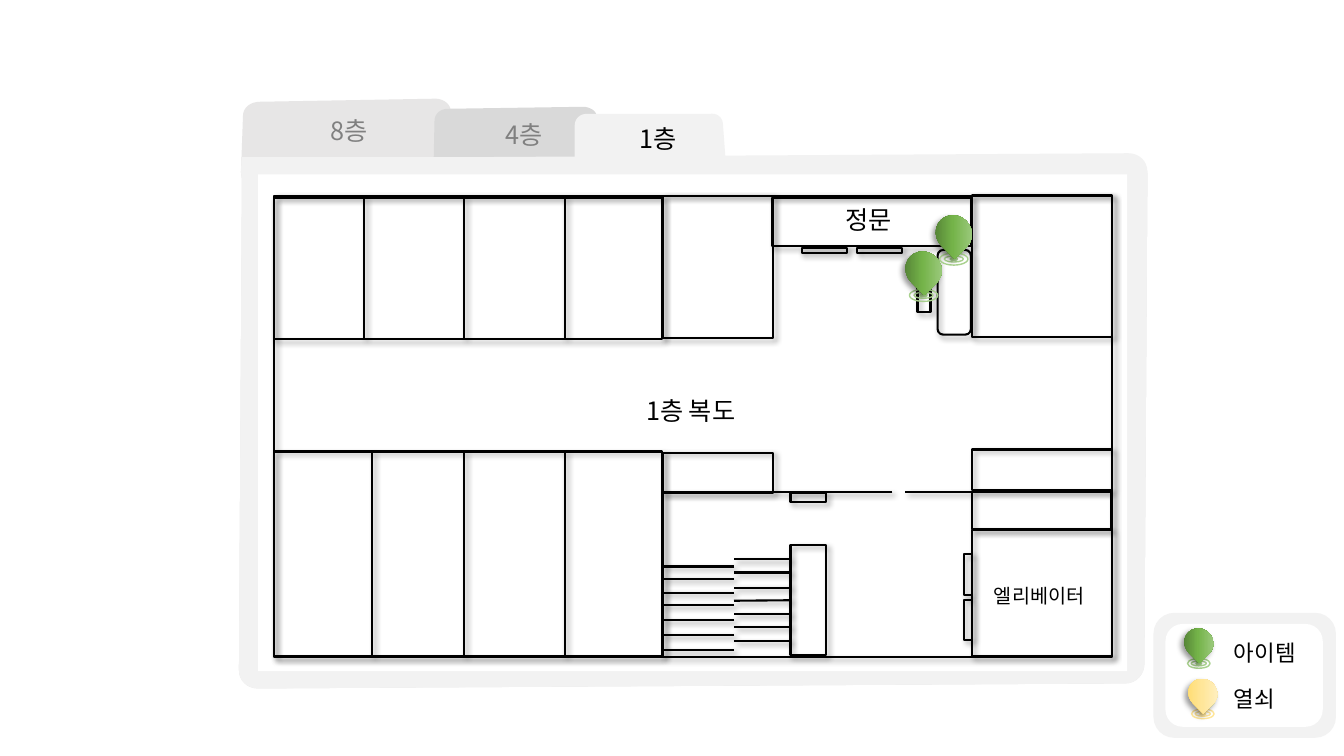
from pptx import Presentation
from pptx.dml.color import RGBColor
from pptx.enum.shapes import MSO_CONNECTOR, MSO_SHAPE
from pptx.enum.text import MSO_ANCHOR, MSO_AUTO_SIZE, PP_ALIGN
from pptx.oxml import parse_xml
from pptx.oxml.ns import nsdecls, qn
from pptx.util import Inches, Pt

RECTANGLE = MSO_SHAPE.RECTANGLE
ROUNDED = MSO_SHAPE.ROUNDED_RECTANGLE
OVAL = MSO_SHAPE.OVAL
TEAR = MSO_SHAPE.TEAR
STRAIGHT = MSO_CONNECTOR.STRAIGHT
TOP = MSO_ANCHOR.TOP
LEFT = PP_ALIGN.LEFT
GROW = MSO_AUTO_SIZE.SHAPE_TO_FIT_TEXT
LEFT_SIDE = 1

FONT = "Noto Sans CJK KR"
COLORS = {
    "black": "000000", "muted": "808080", "white": "FFFFFF",
    "frame": "F2F2F2", "tab8": "E7E6E6", "tab4": "D9D9D9",
}
# Dark, middle and light stop of each pin, then its ring colour
PINS = {
    "item": ("4B7430", "74B349", "A9D18E", "A9D18E"),
    "key": ("FFD966", "FFE699", "FFF2CC", "FFE699"),
}


class FloorMap:
    """Holds the style and the current slide."""

    def __init__(self, slide):
        self.slide = slide
        self.shapes = slide.shapes

    def paint(self, shape, fill=None, line=None, weight=1.5):
        shape.shadow.inherit = False
        if fill:
            shape.fill.solid()
            shape.fill.fore_color.rgb = RGBColor.from_string(fill)
        else:
            shape.fill.background()
        if line:
            shape.line.color.rgb = RGBColor.from_string(line)
            shape.line.width = Pt(weight)
        else:
            shape.line.fill.background()

    def add_shadow(self, effects, angle=45):
        effects.append(parse_xml(
            f'<a:outerShdw {nsdecls("a")} blurRad="{Pt(4)}" dist="{Pt(3)}" '
            f'dir="{angle * 60000}" algn="tl" rotWithShape="0">'
            f'<a:srgbClr val="{COLORS["black"]}"><a:alpha val="40000"/></a:srgbClr>'
            '</a:outerShdw>'))

    def box(self, kind, left, top, width, height, **style):
        shape = self.shapes.add_shape(
            kind, Inches(left), Inches(top), Inches(width), Inches(height))
        self.paint(shape, **style)
        return shape

    def room(self, left, top, width, height, kind=RECTANGLE):
        shape = self.box(kind, left, top, width, height, line=COLORS["black"])
        self.add_shadow(shape._element.spPr.find(qn("a:effectLst")))
        return shape

    def wall(self, x1, y1, x2, y2):
        connector = self.shapes.add_connector(
            STRAIGHT, Inches(x1), Inches(y1), Inches(x2), Inches(y2))
        connector.line.color.rgb = RGBColor.from_string(COLORS["black"])
        connector.line.width = Pt(1.5)
        effects = parse_xml(f'<a:effectLst {nsdecls("a")}/>')
        connector._element.spPr.append(effects)
        self.add_shadow(effects)
        return connector

    def outline(self, steps, fill, rise=0):
        """Steps are (x, y) corners or (x1, y1, x2, y2, x, y) curves."""
        points = [steps[0]]
        for step in steps[1:]:
            if len(step) == 2:
                points.append(step)
                continue
            curve = [points[-1], step[:2], step[2:4], step[4:]]
            for i in range(1, 9):
                t = i / 8
                weights = ((1 - t)**3, 3 * t * (1 - t)**2, 3 * t * t * (1 - t), t**3)
                points.append(tuple(
                    sum(w * p[axis] for w, p in zip(weights, curve)) for axis in (0, 1)))
        corners = [(Inches(x), Inches(y - rise)) for x, y in points]
        builder = self.shapes.build_freeform(*corners[0], scale=1.0)
        builder.add_line_segments(corners[1:], close=True)
        self.paint(builder.convert_to_shape(), fill=fill)

    def set_text(self, shape, text, size, color):
        frame = shape.text_frame
        frame.word_wrap = True
        frame.auto_size = GROW
        frame.vertical_anchor = TOP
        paragraph = frame.paragraphs[0]
        paragraph.alignment = LEFT
        run = paragraph.add_run()
        run.text = text
        run.font.size = Pt(size)
        run.font.name = FONT
        run.font.color.rgb = RGBColor.from_string(color)
        run._r.get_or_add_rPr().append(
            parse_xml(f'<a:ea {nsdecls("a")} typeface="{FONT}"/>'))

    def label(self, text, left, top, width, height, size=18, color=COLORS["black"]):
        shape = self.shapes.add_textbox(
            Inches(left), Inches(top), Inches(width), Inches(height))
        self.set_text(shape, text, size, color)

    def title(self, text, left, top, width, height):
        shape = self.shapes.title
        shape.left, shape.top = Inches(left), Inches(top)
        shape.width, shape.height = Inches(width), Inches(height)
        self.set_text(shape, text, 18, COLORS["black"])
        # Bring the title in front of the tabs
        shape._element.getparent().append(shape._element)

    def pin(self, kind, center, top, scale=1):
        *stops, ring = PINS[kind]
        ring_center = top + 0.44 * scale
        for width, height, fill in ((0.28, 0.12, None), (0.19, 0.06, None), (0.07, 0.03, ring)):
            width, height = width * scale, height * scale
            self.box(OVAL, center - width / 2, ring_center - height / 2,
                     width, height, fill=fill, line=ring, weight=1)
        width, height = 0.35 * scale, 0.37 * scale
        drop = self.box(TEAR, center - width / 2, top, width, height)
        drop.rotation = 135
        drop.fill.gradient()
        properties = drop._element.spPr
        stop_xml = "".join(
            f'<a:gs pos="{position * 1000}"><a:srgbClr val="{color}"/></a:gs>'
            for position, color in zip((0, 48, 100), stops))
        properties.replace(properties.find(qn("a:gradFill")), parse_xml(
            f'<a:gradFill {nsdecls("a")} rotWithShape="1"><a:gsLst>{stop_xml}</a:gsLst>'
            f'<a:lin ang="{225 * 60000}" scaled="0"/></a:gradFill>'))
        self.add_shadow(properties.find(qn("a:effectLst")), 135)


def main():
    presentation = Presentation()
    presentation.slide_width, presentation.slide_height = Inches(13.33), Inches(7.5)
    floor = FloorMap(presentation.slides.add_slide(presentation.slide_layouts[5]))

    # Folder tabs and frame
    body = [(11.19, 1.55), (11.3, 1.55, 11.38, 1.63, 11.38, 1.73), (11.35, 6.59),
            (11.35, 6.69, 11.27, 6.78, 11.16, 6.78), (2.56, 6.83),
            (2.45, 6.83, 2.37, 6.75, 2.37, 6.65), (2.4, 1.78), (2.39, 1.71)]
    floor.outline([(4.29, 0.98), (4.38, 0.97, 4.46, 1.02, 4.47, 1.09), (4.51, 1.59), *body,
                   (2.41, 1.15), (2.41, 1.07, 2.48, 1.01, 2.58, 1.01)], COLORS["tab8"])
    floor.outline([(5.78, 1.06), (5.85, 1.06, 5.92, 1.1, 5.92, 1.16), (5.96, 1.57),
                   (11.18, 1.57), (11.26, 1.57, 11.33, 1.64, 11.33, 1.72), (11.33, 5.77),
                   (11.33, 5.86, 11.26, 5.92, 11.18, 5.92), (4.45, 5.93),
                   (4.37, 5.93, 4.3, 5.86, 4.3, 5.78), (4.3, 1.66), (4.31, 1.2),
                   (4.31, 1.13, 4.37, 1.08, 4.44, 1.08)], COLORS["tab4"])
    floor.outline([(5.82, 1.13), (7.04, 1.13), (7.11, 1.12, 7.16, 1.16, 7.17, 1.22),
                   (7.2, 1.63), (9.44, 1.65), (9.42, 6), (5.87, 5.97),
                   (5.79, 5.97, 5.73, 5.91, 5.73, 5.82), (5.7, 1.77), (5.7, 1.25),
                   (5.7, 1.18, 5.75, 1.13, 5.82, 1.13)], COLORS["frame"])
    for rise in (0, 0.03):
        floor.outline([*body, (2.4, 1.56 + rise), (4.51, 1.56 + rise), (4.51, 1.59)],
                      COLORS["frame"], rise)
    floor.box(RECTANGLE, 2.56, 1.73, 8.62, 4.93, fill=COLORS["white"])

    # Outer wall, rooms and doors
    for room in (
            (2.72, 1.94, 8.31, 4.58), (9.64, 5.26, 1.39, 1.25), (9.64, 4.88, 1.38, 0.37),
            (9.56, 5.5, 0.08, 0.4), (9.56, 5.95, 0.08, 0.4), (7.84, 4.89, 0.35, 0.09),
            (2.72, 4.48, 3.85, 2.03), (9.64, 4.46, 1.39, 0.4), (2.72, 1.96, 3.85, 1.4),
            (9.64, 1.94, 1.39, 1.4), (7.66, 1.96, 1.97, 0.48), (7.95, 2.46, 0.45, 0.05),
            (8.5, 2.46, 0.45, 0.05), (6.58, 1.94, 1.09, 1.41), (6.58, 4.49, 1.09, 0.4),
            (9.1, 2.77, 0.13, 0.33), (9.3, 2.48, 0.33, 0.84, ROUNDED)):
        floor.room(*room)

    # Stairwell: walls, pillar and treads
    floor.wall(8.85, 4.88, 6.57, 4.88)
    floor.wall(9.64, 4.88, 8.98, 4.88)
    floor.wall(6.58, 4.88, 6.58, 6.52)
    pillar = floor.room(7.84, 5.41, 0.35, 1.09)
    for y in (5.55, 5.68, 5.83, 5.96, 6.09, 6.22, 6.36):
        tread = floor.wall(7.84, y, 7.28, y)
        if y == 5.96:
            tread.begin_connect(pillar, LEFT_SIDE)
    for y in (5.62, 5.74, 5.88, 6, 6.15, 6.3, 6.45):
        floor.wall(7.28, y, 6.58, y)

    # Room dividers, upper and lower row
    for bottom, top, columns in ((3.35, 1.96, (3.61, 4.6, 5.6)), (6.51, 4.48, (3.69, 4.6, 5.6))):
        for x in columns:
            floor.wall(x, bottom, x, top)

    # Labels
    floor.label("1층 복도", 6.31, 3.87, 1.26, 0.4)
    floor.label("정문", 8.29, 1.98, 0.71, 0.4)
    floor.label("엘리베이터", 9.76, 5.74, 1.29, 0.34, size=14)
    floor.label("8층", 3.18, 1.09, 0.69, 0.4, color=COLORS["muted"])
    floor.label("4층", 4.92, 1.13, 0.69, 0.4, color=COLORS["muted"])
    floor.title("1층", 6.24, 1.17, 0.69, 0.4)

    # Pins on the map
    floor.pin("item", 9.16, 2.49)
    floor.pin("item", 9.46, 2.13)

    # Legend
    floor.box(ROUNDED, 11.44, 6.08, 1.81, 1.24, fill=COLORS["frame"])
    floor.box(ROUNDED, 11.56, 6.19, 1.56, 1.02, fill=COLORS["white"])
    floor.pin("key", 11.93, 6.73, 0.8)
    floor.pin("item", 11.89, 6.23, 0.8)
    floor.label("아이템", 12.14, 6.29, 1.01, 0.37, size=16)
    floor.label("열쇠", 12.14, 6.75, 1.01, 0.37, size=16)

    presentation.save("out.pptx")


if __name__ == "__main__":
    main()
